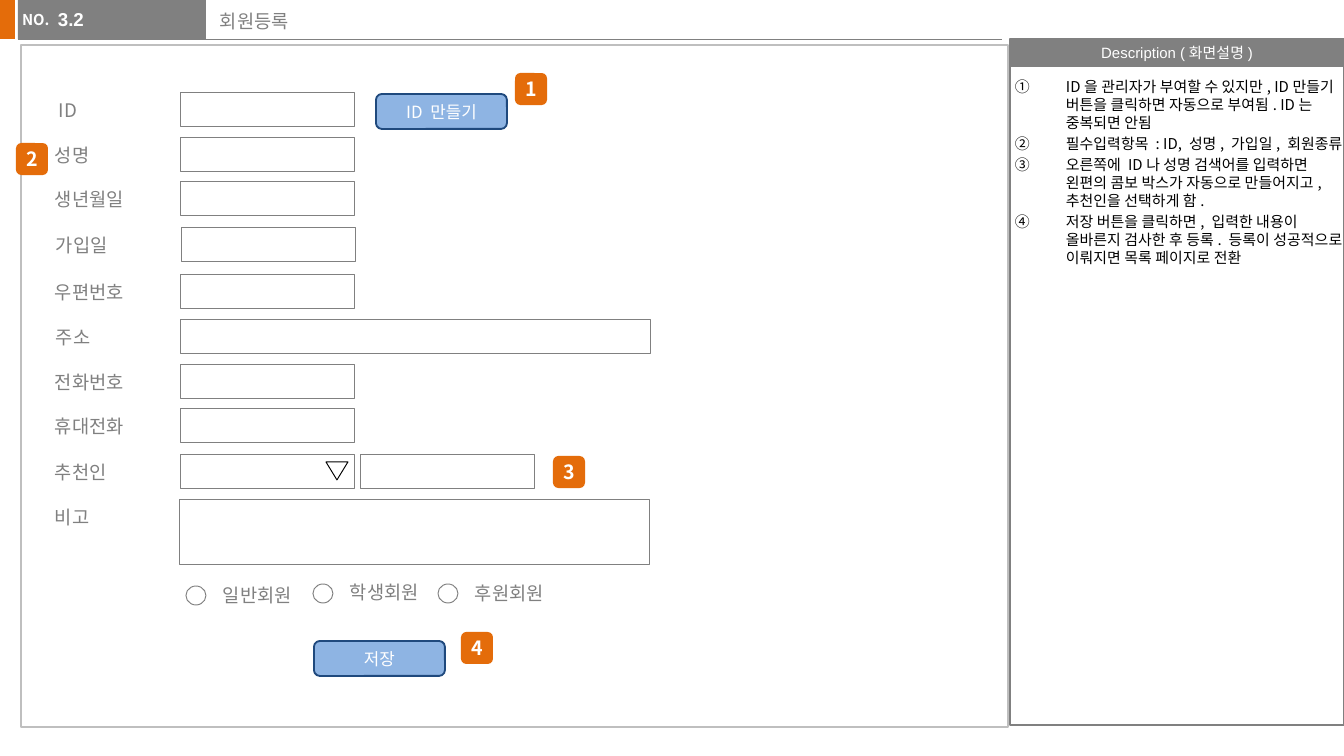
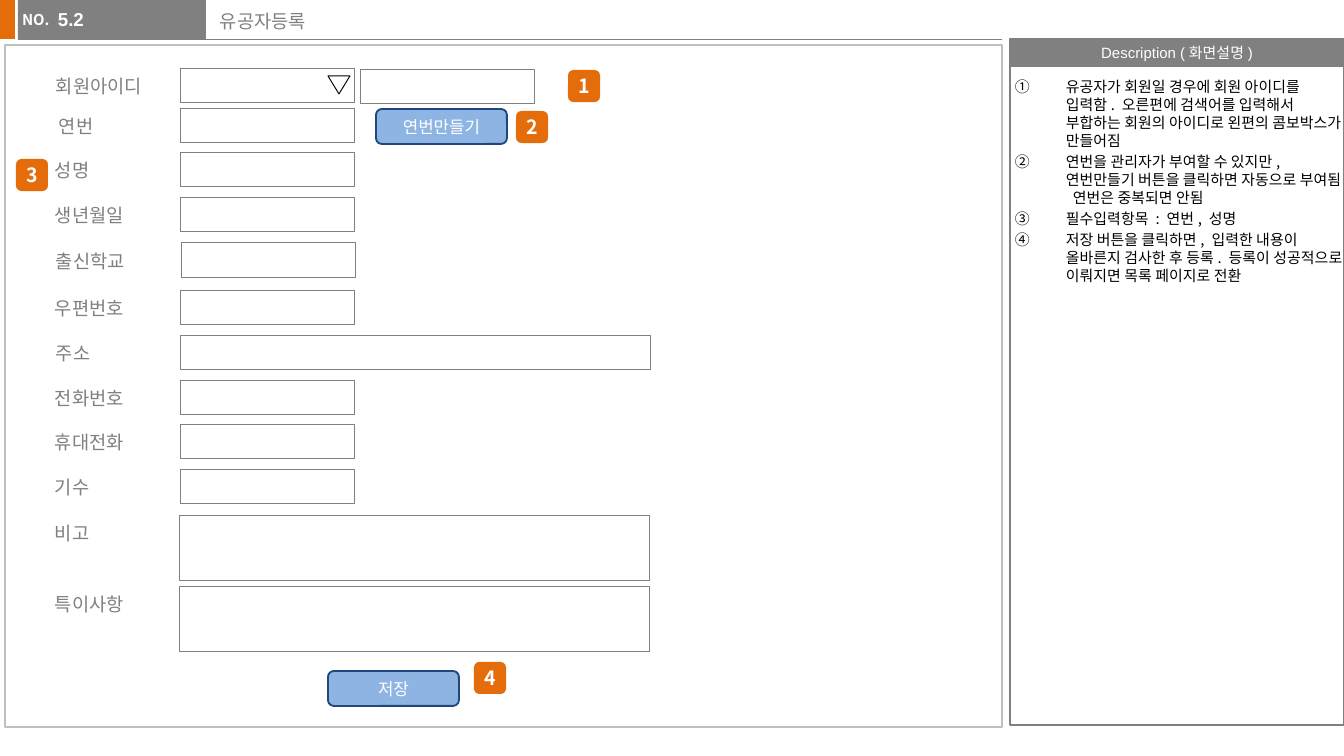
"""Build two form wireframe slides with numbered screen descriptions."""
from lxml.etree import SubElement
from pptx import Presentation
from pptx.dml.color import RGBColor
from pptx.enum.shapes import MSO_CONNECTOR, MSO_SHAPE as Kind
from pptx.enum.text import MSO_ANCHOR as Anchor, PP_ALIGN as Align
from pptx.oxml.ns import qn
from pptx.util import Pt

PX = 9144000 / 1344
ORANGE, GRAY, PALE, WHITE, BLACK = "E46C0A", "808080", "BFBFBF", "FFFFFF", "000000"
BLUE, NAVY = "8EB4E3", "1F497D"
KOREAN, LATIN = "Noto Sans CJK KR", "Arial"
rgb = RGBColor.from_string


def draw(slide, kind, box, fill=None, line=None, weight=0.5):
    left, top, width, height = (round(v * PX) for v in box)
    if kind is None:
        return slide.shapes.add_textbox(left, top, width, height)
    shape = slide.shapes.add_shape(kind, left, top, width, height)
    shape.shadow.inherit = False
    if fill:
        shape.fill.solid()
        shape.fill.fore_color.rgb = rgb(fill)
    else:
        shape.fill.background()
    if line:
        shape.line.color.rgb = rgb(line)
        shape.line.width = Pt(weight)
    else:
        shape.line.fill.background()
    return shape


def write(shape, texts, size, color, face=KOREAN, bold=False, center=False,
          insets=(13, 7, 13, 7), wrap=True, numbered=False):
    frame = shape.text_frame
    frame.word_wrap = wrap
    frame.vertical_anchor = Anchor.MIDDLE if center else Anchor.TOP
    (frame.margin_left, frame.margin_top,
     frame.margin_right, frame.margin_bottom) = (round(v * PX) for v in insets)
    frame.text = "\n".join(texts)
    for paragraph in frame.paragraphs:
        paragraph.alignment = Align.CENTER if center else Align.LEFT
        paragraph.line_spacing = Pt(size * 1.2)
        font = paragraph.font
        font.size, font.bold, font.name = Pt(size), bold, face
        font.color.rgb = rgb(color)
        SubElement(font._rPr, qn("a:ea"), typeface=KOREAN)
        if numbered:
            paragraph.space_before = Pt(1.6)
            props = paragraph._p.get_or_add_pPr()
            props.set("marL", str(round(51 * PX)))
            props.set("indent", str(-round(51 * PX)))
            bullet = SubElement(props, qn("a:buAutoNum"), type="circleNumDbPlain")
            font._rPr.addprevious(bullet)


SHORT, LONG, LOW, TALL = 175, 470, 35, 66
SAVE_NOTE = ("저장 버튼을 클릭하면, 입력한 내용이 올바른지 검사한 후 등록. "
             "등록이 성공적으로 이뤄지면 목록 페이지로 전환")
screens = [
    dict(
        number="3.2", title="회원등록", canvas=(21, 45, 987, 682),
        notes=[
            "ID을 관리자가 부여할 수 있지만, ID만들기 버튼을 클릭하면 자동으로 부여됨. ID는 중복되면 안됨",
            "필수입력항목 : ID, 성명, 가입일, 회원종류",
            "오른쪽에 ID나 성명 검색어를 입력하면 왼편의 콤보 박스가 자동으로 만들어지고, 추천인을 선택하게 함.",
            SAVE_NOTE,
        ],
        fields=[
            ("ID", 46, 180, 92, SHORT, LOW),
            ("성명", 42, 180, 137, SHORT, LOW),
            ("생년월일", 42, 180, 181, SHORT, LOW),
            ("가입일", 43, 181, 227, SHORT, LOW),
            ("우편번호", 42, 180, 274, SHORT, LOW),
            ("주소", 43, 181, 319, LONG, LOW),
            ("전화번호", 42, 180, 364, SHORT, LOW),
            ("휴대전화", 42, 180, 408, SHORT, LOW),
            ("추천인", 42, 180, 454, SHORT, LOW),
            ("비고", 42, 180, 499, LONG, TALL),
        ],
        search_top=454, arrow=(326, 462),
        options=[("일반회원", 186, 586, 577), ("학생회원", 313, 584, 574),
                 ("후원회원", 438, 584, 575)],
        buttons=[("ID 만들기", 376, 94), ("저장", 314, 641)],
        badges=[(515, 73), (16, 143), (553, 456), (461, 632)],
    ),
    dict(
        number="5.2", title="유공자등록", canvas=(5, 45, 997, 682),
        notes=[
            "유공자가 회원일 경우에 회원 아이디를 입력함. 오른편에 검색어를 입력해서 "
            "부합하는 회원의 아이디로 왼편의 콤보박스가 만들어짐",
            "연번을 관리자가 부여할 수 있지만, 연번만들기 버튼을 클릭하면 자동으로 부여됨. 연번은 중복되면 안됨",
            "필수입력항목 : 연번, 성명",
            SAVE_NOTE,
        ],
        fields=[
            ("회원아이디", 43, 180, 68, SHORT, LOW),
            ("연번", 46, 180, 108, SHORT, LOW),
            ("성명", 42, 180, 152, SHORT, LOW),
            ("생년월일", 42, 180, 197, SHORT, LOW),
            ("출신학교", 43, 181, 243, SHORT, LOW),
            ("우편번호", 42, 180, 290, SHORT, LOW),
            ("주소", 43, 181, 335, LONG, LOW),
            ("전화번호", 42, 180, 380, SHORT, LOW),
            ("휴대전화", 42, 180, 424, SHORT, LOW),
            ("기수", 42, 180, 469, SHORT, LOW),
            ("비고", 42, 180, 515, LONG, TALL),
            ("특이사항", 42, 180, 586, LONG, TALL),
        ],
        search_top=69, arrow=(328, 76),
        options=[],
        buttons=[("연번만들기", 376, 109), ("저장", 328, 671)],
        badges=[(568, 70), (516, 111), (16, 159), (474, 662)],
    ),
]

deck = Presentation()
deck.slide_width, deck.slide_height = round(1344 * PX), round(756 * PX)

for screen in screens:
    slide = deck.slides.add_slide(deck.slide_layouts[6])

    draw(slide, Kind.RECTANGLE, (-1, 0, 16, 39), ORANGE)
    rule = slide.shapes.add_connector(
        MSO_CONNECTOR.STRAIGHT, *(round(v * PX) for v in (18, 39, 1002, 39)))
    rule.line.color.rgb = rgb(GRAY)
    rule.line.width = Pt(0.5)
    SubElement(rule._element.spPr, qn("a:effectLst"))
    draw(slide, Kind.RECTANGLE, (18, 0, 188, 39), GRAY)
    write(draw(slide, None, (9, 4, 55, 32)), ["NO."], 8, WHITE, bold=True, wrap=False)
    write(draw(slide, Kind.RECTANGLE, (1010, 39, 334, 28), GRAY),
          ["Description (화면설명)"], 8, WHITE, LATIN, center=True,
          insets=(12, 5, 12, 5), wrap=False)
    draw(slide, Kind.RECTANGLE, (1010, 39, 334, 686), line=GRAY, weight=0.75)

    canvas = draw(slide, Kind.RECTANGLE, screen["canvas"], WHITE, PALE, 0.75)
    tint = canvas._element.spPr.find(qn("a:solidFill"))[0]
    SubElement(tint, qn("a:alpha"), val="70000")
    write(draw(slide, None, (1010, 71, 334, 656)), screen["notes"], 8, BLACK,
          insets=(5, 7, 0, 7), numbered=True)
    write(draw(slide, None, (207, 3, 794, 43)), [screen["title"]], 10, GRAY)
    write(draw(slide, None, (58, 1, 148, 42)), [screen["number"]], 10, WHITE, LATIN,
          bold=True, insets=(0, 7, 0, 7))

    for label, label_left, left, top, width, height in screen["fields"]:
        write(draw(slide, None, (label_left, top, 136, 36)), [label], 10, GRAY)
        draw(slide, Kind.RECTANGLE, (left, top, width, height), line=GRAY)
    draw(slide, Kind.RECTANGLE, (360, screen["search_top"], SHORT, LOW), line=GRAY)
    draw(slide, Kind.FLOWCHART_MERGE, (*screen["arrow"], 22, 18), line=BLACK)

    for option, left, top, text_top in screen["options"]:
        draw(slide, Kind.OVAL, (left, top, 20, 19), line=GRAY)
        write(draw(slide, None, (left + 24, text_top, 102, 36)), [option], 10, GRAY)

    for caption, left, top in screen["buttons"]:
        write(draw(slide, Kind.ROUNDED_RECTANGLE, (left, top, 131, 35), BLUE, NAVY, 1),
              [caption], 9, WHITE, center=True)
    for step, corner in enumerate(screen["badges"], 1):
        write(draw(slide, Kind.ROUNDED_RECTANGLE, (*corner, 32, 32), ORANGE),
              [str(step)], 10.5, WHITE, bold=True, center=True, insets=(0, 7, 0, 7))

deck.save("out.pptx")
